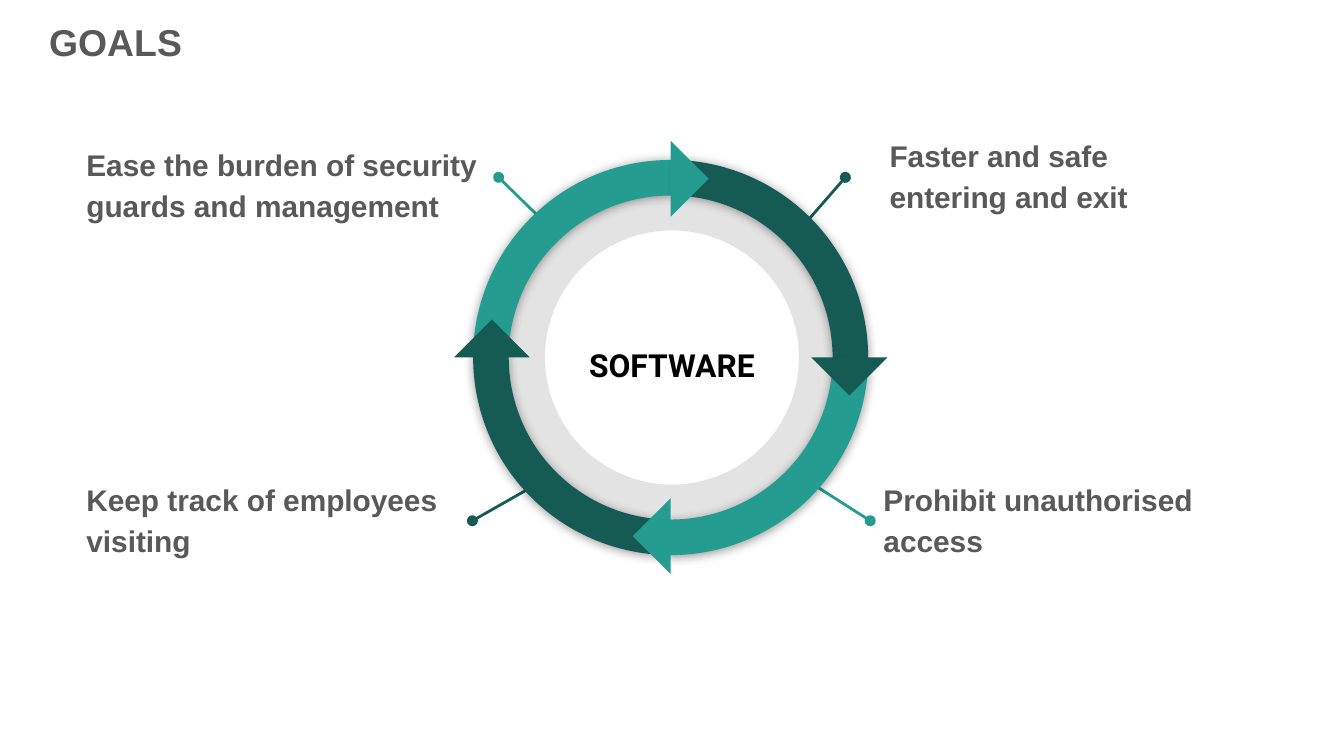
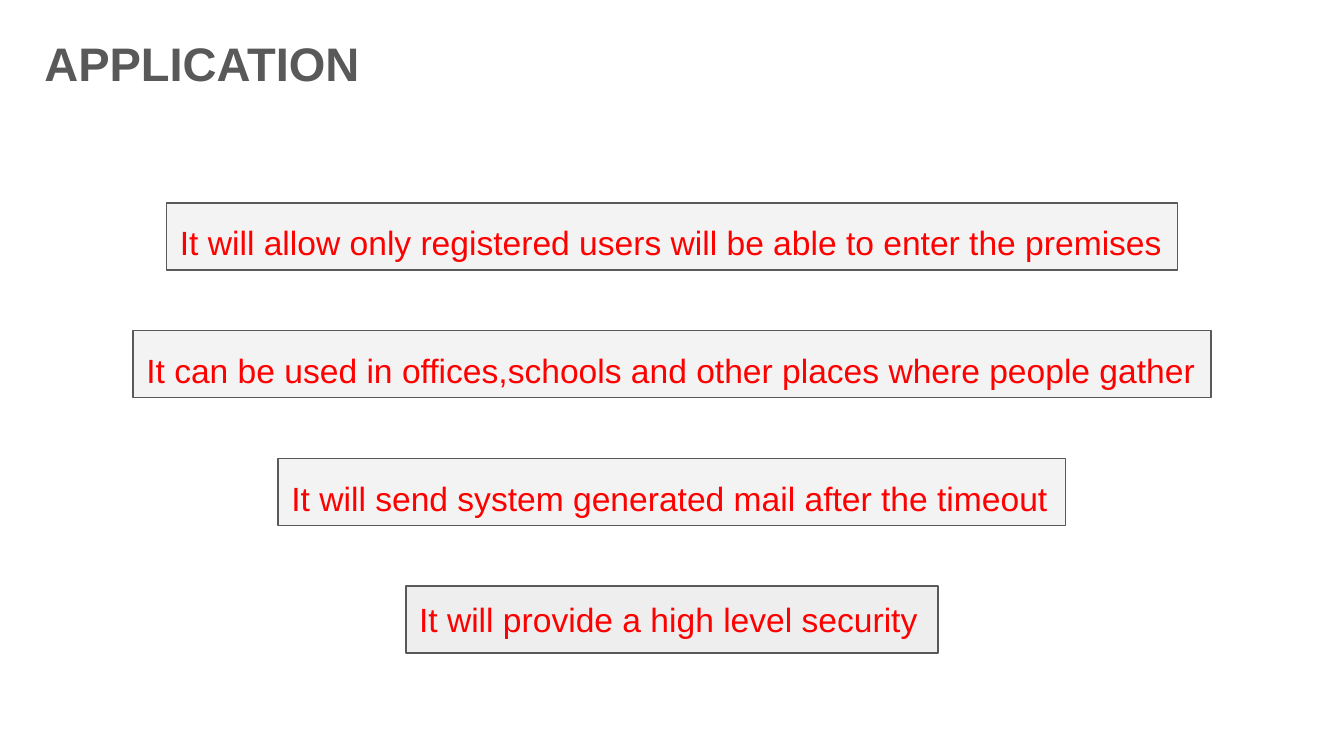
from dataclasses import dataclass

from lxml.etree import SubElement
from pptx import Presentation
from pptx.dml.color import RGBColor
from pptx.enum.shapes import MSO_CONNECTOR, MSO_SHAPE
from pptx.enum.text import MSO_ANCHOR as Anchor, MSO_AUTO_SIZE as AutoSize, PP_ALIGN as Align
from pptx.oxml.ns import qn
from pptx.util import Inches, Pt

# Grid of 100 columns by 56.25 rows with square cells (16:9)
COLUMNS, ROWS = 100, 56.25
CELL = Inches(10) / COLUMNS
MARGIN = 1

# Shared style
TEAL, DARK_TEAL = "249C90", "155B54"
GREY, BLACK, RED = "595959", "000000", "FF0000"
PALE, PALER = "EEEEEE", "F3F3F3"
LOOSE = 1.15

# Cycle geometry, in cells
CENTER = (49.9, 26.6)
ARC_SIZE, ARC_BAND = 29.4, 0.09
TIP_RADIUS, TIP_SIZE = 13.3, 4
DIRECTIONS = {0: (1, 0), 90: (0, 1), 180: (-1, 0), 270: (0, -1)}

Box = tuple[float, float, float, float]
Point = tuple[float, float]


@dataclass(frozen=True)
class Goal:
    text: str
    box: Box
    dot: Point
    ring_end: Point
    color: str
    tip_angle: int
    arc_rotation: int
    anchor: Anchor = Anchor.TOP


@dataclass(frozen=True)
class Use:
    text: str
    width: float
    fill: str = PALER
    anchor: Anchor = Anchor.TOP
    spacing: float = LOOSE
    after: float = 12


GOALS = [
    Goal("Ease the burden of security guards and management", (5.45, 8.85, 31.7, 8.8),
         (37.1, 13.2), (41.5, 17.5), TEAL, 270, 330, Anchor.BOTTOM),
    Goal("Faster and safe entering and exit", (65.2, 8.85, 20.5, 8.2),
         (62.9, 13.2), (59.5, 17.1), DARK_TEAL, 0, 30),
    Goal("Keep track of employees visiting", (5.45, 34.45, 29.7, 8.5),
         (35.15, 38.75), (41.4, 35.2), DARK_TEAL, 180, 150),
    Goal("Prohibit unauthorised access", (64.75, 34.45, 26.9, 8.5),
         (64.75, 38.75), (59.5, 35.4), TEAL, 90, 210),
]

USES = [
    Use("It will allow only registered users will be able to enter the premises", 75.2),
    Use("It can be used in offices,schools and other places where people gather", 80.2),
    Use("It will send system generated mail after the timeout", 58.6),
    Use("It will provide a high level security", 39.6, PALE, Anchor.MIDDLE, 1, 0),
]
USE_TOP, USE_PITCH, USE_HEIGHT = 15.1, 9.5, 5


def cells(*values: float) -> list[int]:
    return [round(value * CELL) for value in values]


def rgb(color: str) -> RGBColor:
    return RGBColor.from_string(color)


def centered(center: Point, size: float) -> Box:
    return center[0] - size / 2, center[1] - size / 2, size, size


def write(shape, text: str, *, size: float, color: str = GREY, bold: bool = False,
          font: str = "Arial", align: Align = Align.LEFT, anchor: Anchor = Anchor.TOP,
          spacing: float = 1, after: float = 0, left: float = MARGIN) -> None:
    frame = shape.text_frame
    frame.auto_size = AutoSize.NONE
    frame.word_wrap = True
    frame.vertical_anchor = anchor
    frame.margin_left, frame.margin_top = cells(left, MARGIN)
    frame.margin_right = frame.margin_bottom = cells(MARGIN)[0]
    paragraph = frame.paragraphs[0]
    paragraph.alignment = align
    paragraph.line_spacing = spacing
    paragraph.space_before, paragraph.space_after = Pt(0), Pt(after)
    run = paragraph.add_run()
    run.text = text
    run.font.name, run.font.size, run.font.bold = font, Pt(size), bold
    run.font.color.rgb = rgb(color)


def add_titled_slide(deck, title: str, box: Box, **style):
    slide = deck.slides.add_slide(deck.slide_layouts[5])
    heading = slide.shapes.title
    heading.left, heading.top, heading.width, heading.height = cells(*box)
    write(heading, title, bold=True, **style)
    return slide


def add_label(slide, text: str, box: Box, **style) -> None:
    write(slide.shapes.add_textbox(*cells(*box)), text, bold=True, spacing=LOOSE, **style)


def add_figure(slide, kind: MSO_SHAPE, box: Box, fill: str, rotation: float = 0,
               outline: str | None = None):
    figure = slide.shapes.add_shape(kind, *cells(*box))
    figure.shadow.inherit = False
    figure.rotation = rotation
    figure.fill.solid()
    figure.fill.fore_color.rgb = rgb(fill)
    if outline:
        figure.line.color.rgb = rgb(outline)
        figure.line.width = Pt(0.75)
    else:
        figure.line.fill.background()
    return figure


def add_alpha(color_element, percent: int) -> None:
    SubElement(color_element, qn("a:alpha"), val=str(percent * 1000))


def add_shadow(figure) -> None:
    effects = figure.element.spPr.find(qn("a:effectLst"))
    shadow = SubElement(effects, qn("a:outerShdw"), blurRad=str(Pt(5.6)),
                        dist=str(Pt(0.8)), dir="5400000", rotWithShape="0")
    add_alpha(SubElement(shadow, qn("a:srgbClr"), val=BLACK), 40)


def add_callout(slide, goal: Goal) -> None:
    leader = slide.shapes.add_connector(MSO_CONNECTOR.STRAIGHT,
                                        *cells(*goal.dot, *goal.ring_end))
    leader.line.color.rgb = rgb(goal.color)
    leader.line.width = Pt(1.5)
    properties = leader.element.spPr
    SubElement(properties.find(qn("a:ln")), qn("a:headEnd"), type="oval")
    SubElement(properties, qn("a:effectLst"))
    add_label(slide, goal.text, goal.box, size=16, anchor=goal.anchor, after=12)


def add_arc(slide, goal: Goal) -> None:
    arc = add_figure(slide, MSO_SHAPE.BLOCK_ARC, centered(CENTER, ARC_SIZE),
                     goal.color, goal.arc_rotation)
    # Adjustments count angles in units of 1/0.6 degree
    for index, offset in enumerate((-88, 1)):
        arc.adjustments[index] = (goal.tip_angle + offset - goal.arc_rotation) % 360 * 0.6
    arc.adjustments[2] = ARC_BAND
    add_shadow(arc)


def add_tip(slide, goal: Goal) -> None:
    dx, dy = DIRECTIONS[goal.tip_angle]
    center = CENTER[0] + TIP_RADIUS * dx, CENTER[1] + TIP_RADIUS * dy
    add_figure(slide, MSO_SHAPE.RIGHT_TRIANGLE, centered(center, TIP_SIZE),
               goal.color, (goal.tip_angle + 315) % 360)


def build_goals(deck) -> None:
    slide = add_titled_slide(deck, "GOALS", (-0.1, -0.1, COLUMNS, ROWS),
                             size=20, spacing=LOOSE, after=12, left=3.75)
    # Translucent inner ring
    ring = add_figure(slide, MSO_SHAPE.DONUT, (36.1, 12.7, 27.8, 27.8), BLACK)
    ring.adjustments[0] = 0.16
    add_alpha(ring.element.spPr.find(qn("a:solidFill"))[0], 11)
    add_label(slide, "SOFTWARE", (42.1, 22.5, 15.8, 8.8), size=17, color=BLACK,
              font="Roboto", align=Align.CENTER, anchor=Anchor.MIDDLE)
    # Callouts lie under the arcs, arrow tips on top
    for draw in (add_callout, add_arc, add_tip):
        for goal in GOALS:
            draw(slide, goal)


def build_application(deck) -> None:
    slide = add_titled_slide(deck, "APPLICATION", (2.3, 1.6, 94.3, 6.3),
                             size=25.2, anchor=Anchor.TOP)
    # Centred bars at an equal pitch
    for index, use in enumerate(USES):
        box = ((COLUMNS - use.width) / 2, USE_TOP + index * USE_PITCH, use.width, USE_HEIGHT)
        bar = add_figure(slide, MSO_SHAPE.RECTANGLE, box, use.fill, outline=GREY)
        write(bar, use.text, size=18, color=RED, anchor=use.anchor,
              spacing=use.spacing, after=use.after)


def main() -> None:
    deck = Presentation()
    deck.slide_width, deck.slide_height = cells(COLUMNS, ROWS)
    build_goals(deck)
    build_application(deck)
    deck.save("out.pptx")


if __name__ == "__main__":
    main()
